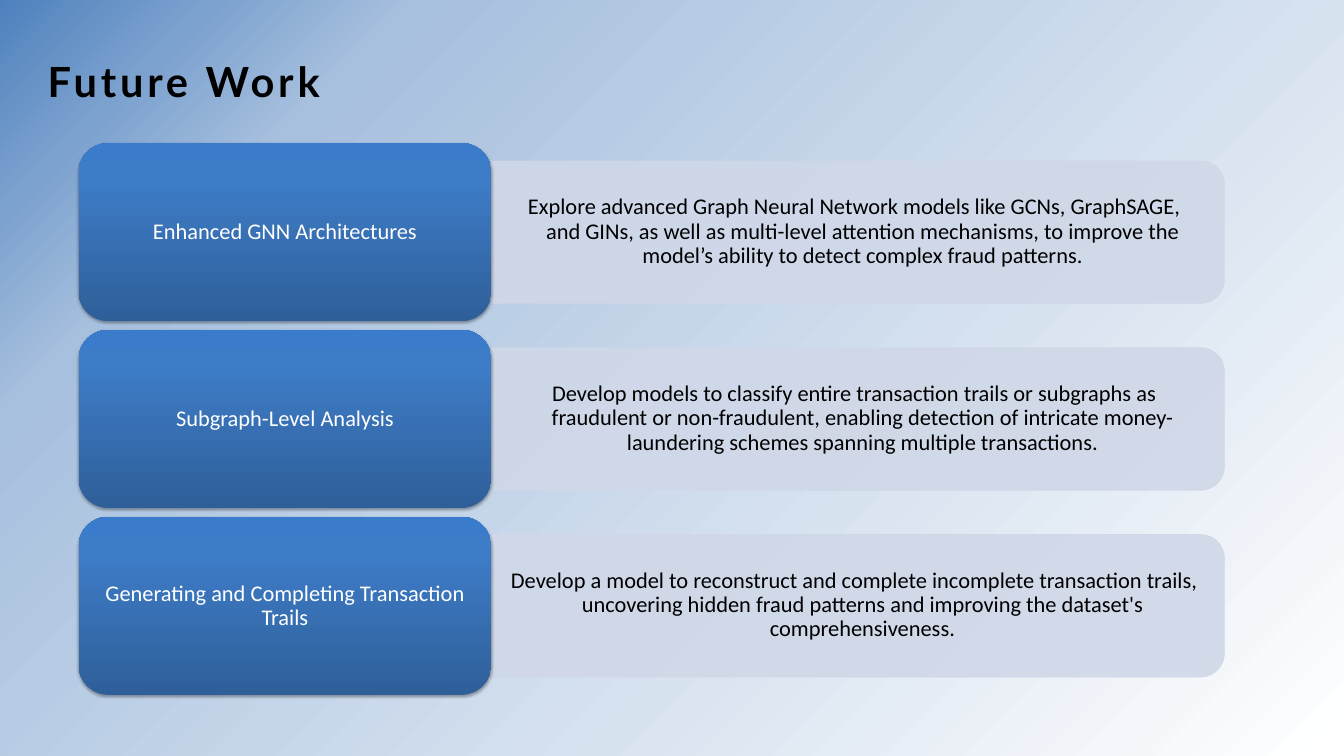
from lxml import etree
from pptx import Presentation
from pptx.dml.color import RGBColor
from pptx.enum.shapes import MSO_SHAPE as Shape
from pptx.enum.text import MSO_ANCHOR as Anchor, MSO_AUTO_SIZE as AutoSize, PP_ALIGN as Align
from pptx.oxml import parse_xml
from pptx.oxml.ns import nsdecls, qn
from pptx.util import Inches, Pt

COLORS = {"black": "000000", "white": "FFFFFF", "panel": "D0D8E8"}
PAGE_STOPS = [(0, "FFFFFF"), (0, "FFFFFF"), (80, "A7C0DE"), (90, "7BA1CE"), (100, "4F81BD")]
LABEL_STOPS = [(0, "2F5F99"), (80, "3D7CC7"), (100, "3A7CCB")]
CORNER_PATH = '<a:path path="circle"><a:fillToRect l="100000" t="100000"/></a:path>'
UPWARD = '<a:lin ang="16200000" scaled="0"/>'
TOPICS = [
    ("Enhanced GNN Architectures",
     "Explore advanced Graph Neural Network models like GCNs, GraphSAGE, and GINs, as well as "
     "multi-level attention mechanisms, to improve the model’s ability to detect complex fraud patterns."),
    ("Subgraph-Level Analysis",
     "Develop models to classify entire transaction trails or subgraphs as fraudulent or "
     "non-fraudulent, enabling detection of intricate money-laundering schemes spanning multiple transactions."),
    ("Generating and Completing Transaction Trails",
     "Develop a model to reconstruct and complete incomplete transaction trails, uncovering hidden "
     "fraud patterns and improving the dataset's comprehensiveness."),
]


def color(name):
    """Return the palette colour with this name."""
    return RGBColor.from_string(COLORS[name])


def set_gradient(fill, owner, stops, direction):
    """Give the owner of a fill a gradient with these stops and direction."""
    fill.gradient()
    old = next(owner.iter(qn("a:gradFill")))
    marks = "".join(f'<a:gs pos="{pos * 1000}"><a:srgbClr val="{tone}"/></a:gs>' for pos, tone in stops)
    new = parse_xml(f'<a:gradFill {nsdecls("a")} rotWithShape="1"><a:gsLst>{marks}</a:gsLst>{direction}</a:gradFill>')
    old.getparent().replace(old, new)


def add_span(para, text, font, size, tone):
    """Add one formatted run to a paragraph."""
    span = para.add_run()
    span.text = text
    span.font.name, span.font.size = font, Pt(size)
    span.font.color.rgb = color(tone)
    return span


def add_copy(page, left, top, width, height, text, tone, margins):
    """Add a centred text box and return its paragraph."""
    box = page.shapes.add_textbox(Inches(left), Inches(top), Inches(width), Inches(height))
    frame = box.text_frame
    frame.word_wrap = True
    frame.vertical_anchor = Anchor.MIDDLE
    frame.margin_left = frame.margin_right = Inches(margins[0])
    frame.margin_top = frame.margin_bottom = Inches(margins[1])
    para = frame.paragraphs[0]
    para.alignment = Align.CENTER
    para.line_spacing = 0.9
    add_span(para, text, "Calibri", 24, tone)
    return para


def add_title(page, left, top, width, height):
    """Place and format the slide title."""
    title = page.shapes.title
    title.left, title.top = Inches(left), Inches(top)
    title.width, title.height = Inches(width), Inches(height)
    frame = title.text_frame
    frame.margin_left = frame.margin_top = frame.margin_right = frame.margin_bottom = 0
    frame.vertical_anchor = Anchor.TOP
    frame.auto_size = AutoSize.SHAPE_TO_FIT_TEXT
    para = frame.paragraphs[0]
    para.alignment = Align.LEFT
    para.line_spacing = Pt(84.7)
    span = add_span(para, "Future Work", "Lato", 44.5, "black")
    span.font.bold = True
    span.font._element.set("spc", "410")


def add_detail(page, left, top, width, height, text):
    """Add a translucent panel rounded on its right side, with its description."""
    panel = page.shapes.add_shape(
        Shape.ROUND_2_SAME_RECTANGLE, Inches(left + (width - height) / 2),
        Inches(top + (height - width) / 2), Inches(height), Inches(width))
    panel.rotation = 90
    panel.shadow.inherit = False
    panel.fill.solid()
    panel.fill.fore_color.rgb = color("panel")
    panel.line.color.rgb = color("panel")
    panel.line.width = Pt(0.75)
    for tone in panel._element.spPr.iter(qn("a:srgbClr")):
        etree.SubElement(tone, qn("a:alpha"), val="90000")
    para = add_copy(page, left, top + 0.1, width - 0.11, height - 0.21, text, "black", (0.27, 0.14))
    para.level = 1
    props = para._p.get_or_add_pPr()
    props.set("marL", str(Inches(0.25)))
    props.set("indent", str(Inches(-0.25)))


def add_label(page, left, top, width, height, text):
    """Add a shaded rounded block with its heading."""
    block = page.shapes.add_shape(
        Shape.ROUNDED_RECTANGLE, Inches(left), Inches(top), Inches(width), Inches(height))
    props = block._element.spPr
    set_gradient(block.fill, props, LABEL_STOPS, UPWARD)
    block.line.fill.background()
    block.shadow.inherit = False
    shadow = etree.SubElement(
        props.find(qn("a:effectLst")), qn("a:outerShdw"), blurRad=str(Pt(3.1)),
        dist=str(Pt(1.8)), dir="5400000", rotWithShape="0")
    tone = etree.SubElement(shadow, qn("a:srgbClr"), val=COLORS["black"])
    etree.SubElement(tone, qn("a:alpha"), val="35000")
    add_copy(page, left + 0.13, top + 0.13, width - 0.26, height - 0.26, text, "white", (0.1, 0.05))


def add_topics(page, left, top, width, height):
    """Stack one label and detail row per topic in the given box."""
    gap, label_width, detail_height = 0.13, 6.14, 2.12
    row_height = (height - gap * (len(TOPICS) - 1)) / len(TOPICS)
    for index, (heading, detail) in enumerate(TOPICS):
        row_top = top + index * (row_height + gap)
        add_detail(page, left + label_width, row_top + (row_height - detail_height) / 2,
                   width - label_width, detail_height, detail)
        add_label(page, left, row_top, label_width, row_height, heading)


def main():
    """Build and save the deck."""
    deck = Presentation()
    deck.slide_width, deck.slide_height = Inches(20), Inches(11.25)
    page = deck.slides.add_slide(deck.slide_layouts[5])
    set_gradient(page.background.fill, page._element, PAGE_STOPS, CORNER_PATH)
    add_title(page, 0.71, 0.4, 7.38, 1.08)
    add_topics(page, 1.17, 2.13, 17.05, 8.21)
    deck.save("out.pptx")


if __name__ == "__main__":
    main()
